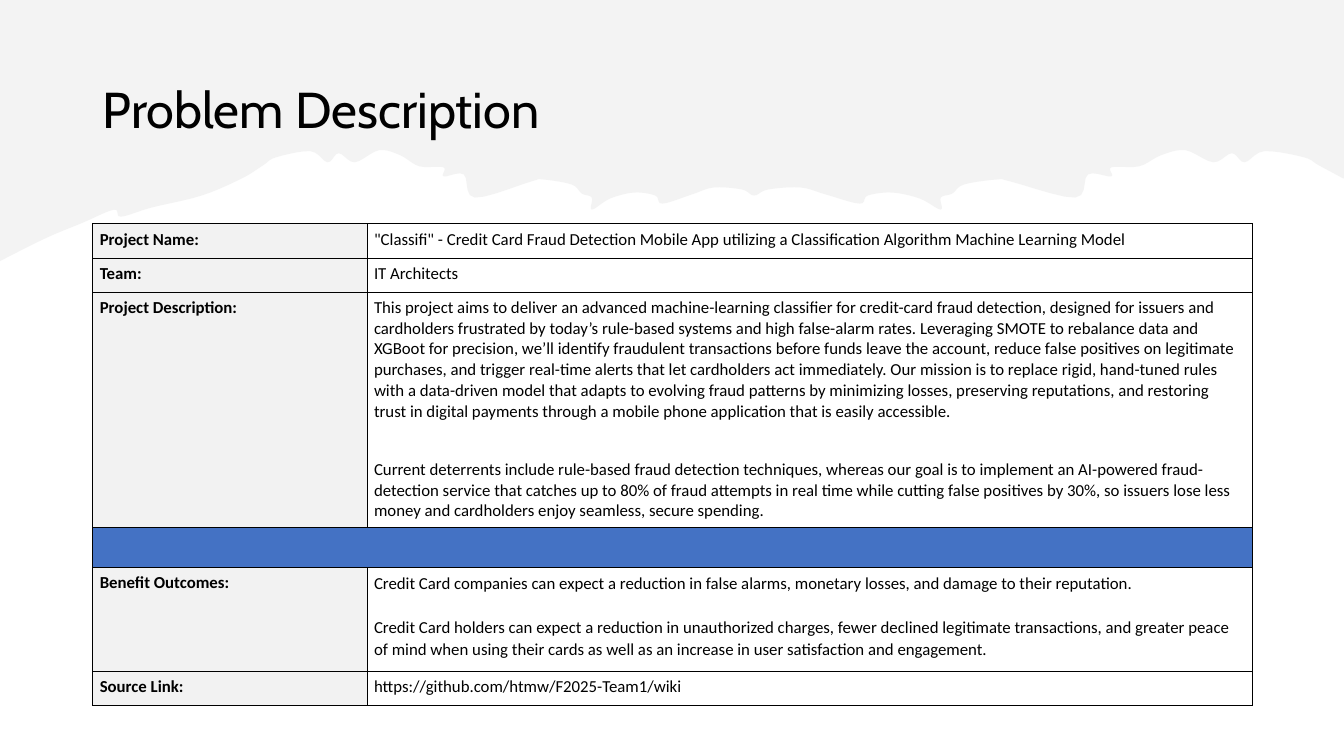
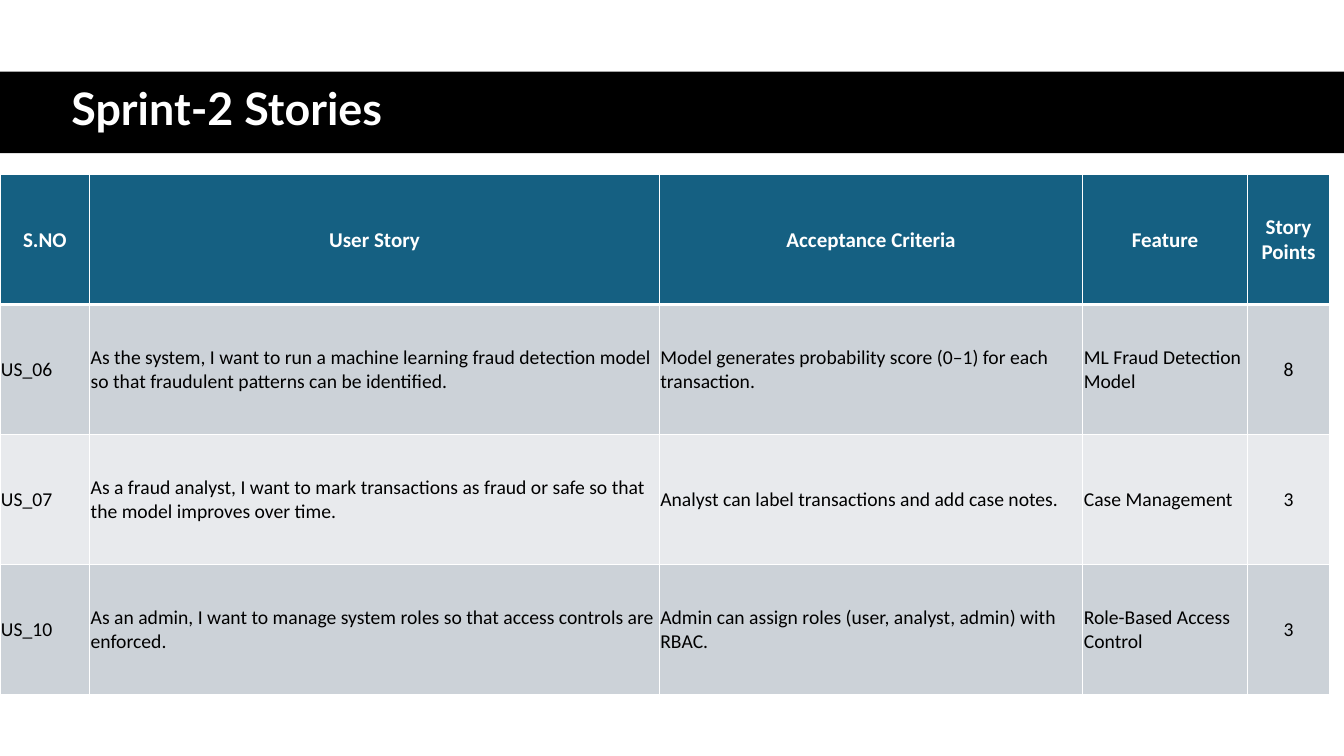
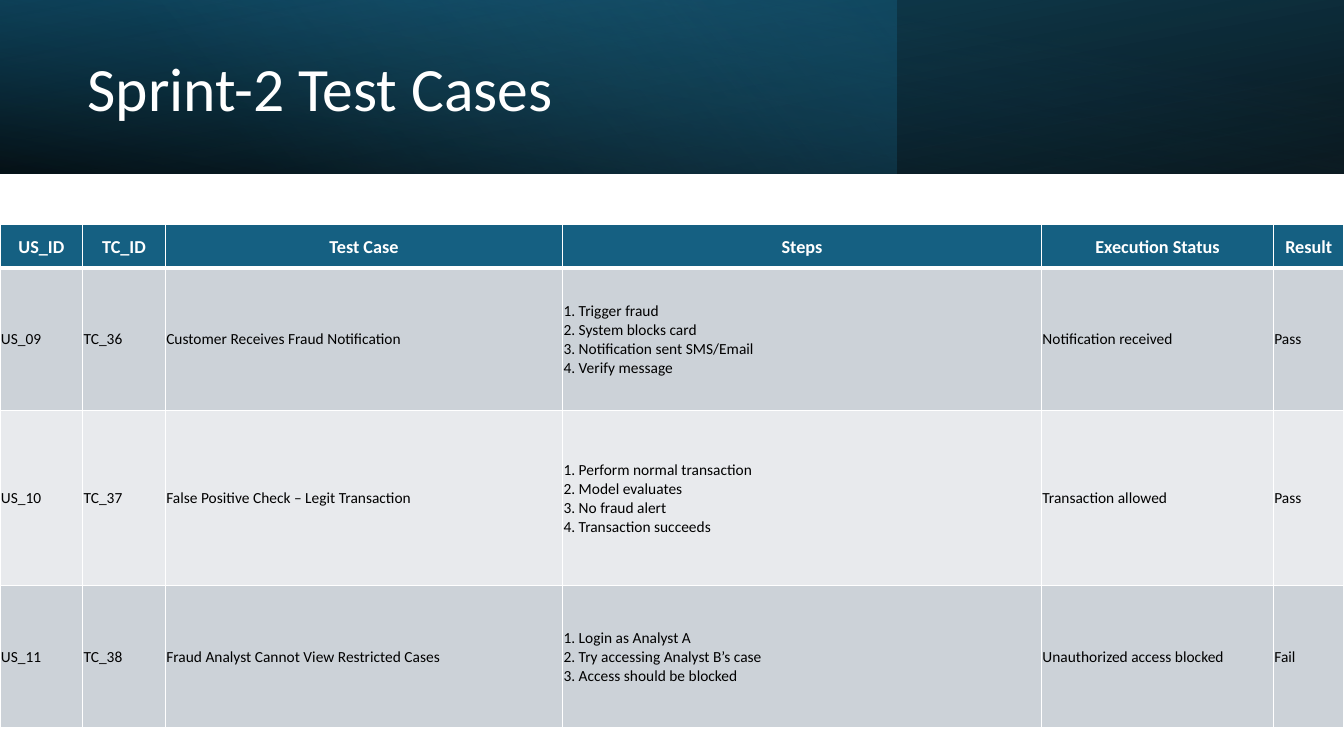
from dataclasses import dataclass
from typing import Optional

from lxml import etree
from pptx import Presentation
from pptx.dml.color import RGBColor
from pptx.enum.shapes import MSO_SHAPE
from pptx.enum.text import MSO_ANCHOR, PP_ALIGN
from pptx.oxml.ns import qn
from pptx.util import Inches, Pt

RECTANGLE = MSO_SHAPE.RECTANGLE
TOP, MIDDLE = MSO_ANCHOR.TOP, MSO_ANCHOR.MIDDLE
LEFT, CENTER = PP_ALIGN.LEFT, PP_ALIGN.CENTER

BLACK = RGBColor(0x00, 0x00, 0x00)
WHITE = RGBColor(0xFF, 0xFF, 0xFF)
TORN_GRAY = RGBColor(0xE8, 0xE8, 0xE8)
LABEL_GRAY = RGBColor(0xF2, 0xF2, 0xF2)
DIVIDER_BLUE = RGBColor(0x44, 0x72, 0xC4)
TEAL = RGBColor(0x15, 0x60, 0x82)
DEEP_TEAL = RGBColor(0x10, 0x48, 0x62)
SKY = RGBColor(0x46, 0xB1, 0xE1)
BAND_DARK = RGBColor(0xCC, 0xD2, 0xD8)
BAND_LIGHT = RGBColor(0xE8, 0xEA, 0xED)

BODY_FONT = "Calibri"
SLIDE_WIDTH, SLIDE_HEIGHT = 13.33, 7.5
BANNER_HEIGHT = 1.72

# Torn paper edge up to its middle; the right side is a stretched mirror image
TORN_MIDDLE, TORN_STRETCH, MIRROR_START = 7.48, 1.15, 2.4
TORN_LEFT = [
    (0, 2.59), (0.46, 2.36), (0.82, 2.21), (1.13, 2.08), (1.2, 2.15), (1.5, 2.06),
    (2, 1.94), (2.4, 1.77), (2.61, 1.64), (2.74, 1.56), (3.08, 1.5), (3.25, 1.61),
    (3.36, 1.52), (3.52, 1.61), (3.76, 1.49), (3.97, 1.54), (4.16, 1.65), (4.4, 1.66),
    (4.4, 1.75), (4.6, 1.73), (4.71, 1.96), (5.27, 1.8), (5.38, 1.78), (5.67, 1.83),
    (5.77, 1.92), (5.87, 1.96), (5.87, 2.08), (6.05, 1.97), (6.29, 1.91), (6.5, 1.94),
    (6.57, 2.02), (6.86, 1.93), (7.08, 1.86), (7.36, 1.88), (7.48, 1.94),
]


@dataclass
class GradientStop:
    position: float
    color: RGBColor
    opacity: int = 100


@dataclass
class BannerLayer:
    width: float
    stops: tuple[GradientStop, GradientStop]
    angle: int  # clockwise
    rotation: int = 0
    flipped: bool = False


@dataclass
class ProjectRow:
    height: float
    label: str
    paragraphs: list[str]
    line_pitch: float = 14.8
    gap: float = 26.8


@dataclass
class StoryTable:
    top: float
    columns: list[float]
    heights: list[float]
    rows: list[list[str]]
    header_size: int
    body_size: int
    centered_columns: tuple[int, ...] = ()


BANNER_LAYERS = [
    BannerLayer(SLIDE_WIDTH, (GradientStop(0, BLACK, 96), GradientStop(1, DEEP_TEAL)),
                100, rotation=180, flipped=True),
    BannerLayer(8.89, (GradientStop(0, TEAL, 41), GradientStop(0.74, SKY, 0)), 140),
    BannerLayer(SLIDE_WIDTH, (GradientStop(0, BLACK, 63), GradientStop(0.78, TEAL, 15)),
                260, flipped=True),
]

PROJECT_ROWS = [
    ProjectRow(0.34, "Project Name:", [
        '"Classifi" - Credit Card Fraud Detection Mobile App utilizing a '
        "Classification Algorithm Machine Learning Model"]),
    ProjectRow(0.34, "Team:", ["IT Architects"]),
    ProjectRow(2.33, "Project Description:", [
        "This project aims to deliver an advanced machine-learning classifier for "
        "credit-card fraud detection, designed for issuers and cardholders frustrated "
        "by today’s rule-based systems and high false-alarm rates. Leveraging SMOTE to "
        "rebalance data and XGBoot for precision, we’ll identify fraudulent "
        "transactions before funds leave the account, reduce false positives on "
        "legitimate purchases, and trigger real-time alerts that let cardholders act "
        "immediately. Our mission is to replace rigid, hand-tuned rules with a "
        "data-driven model that adapts to evolving fraud patterns by minimizing losses, "
        "preserving reputations, and restoring trust in digital payments through a "
        "mobile phone application that is easily accessible.",
        "Current deterrents include rule-based fraud detection techniques, whereas our "
        "goal is to implement an AI-powered fraud-detection service that catches up to "
        "80% of fraud attempts in real time while cutting false positives by 30%, so "
        "issuers lose less money and cardholders enjoy seamless, secure spending."]),
    ProjectRow(0.36, "", []),
    ProjectRow(1.03, "Benefit Outcomes:", [
        "Credit Card companies can expect a reduction in false alarms, monetary losses, "
        "and damage to their reputation.",
        "Credit Card holders can expect a reduction in unauthorized charges, fewer "
        "declined legitimate transactions, and greater peace of mind when using their "
        "cards as well as an increase in user satisfaction and engagement."],
        line_pitch=15.7, gap=15.7),
    ProjectRow(0.34, "Source Link:", ["https://github.com/htmw/F2025-Team1/wiki"]),
]

SPRINT_STORIES = StoryTable(
    top=1.73, columns=[0.89, 5.65, 4.2, 1.63, 0.82], heights=[1.29] * 4,
    header_size=15, body_size=14, centered_columns=(4,),
    rows=[
        ["S.NO", "User Story", "Acceptance Criteria", "Feature", "Story Points"],
        ["US_06", "As the system, I want to run a machine learning fraud detection "
         "model so that fraudulent patterns can be identified.",
         "Model generates probability score (0–1) for each transaction.",
         "ML Fraud Detection Model", "8"],
        ["US_07", "As a fraud analyst, I want to mark transactions as fraud or safe "
         "so that the model improves over time.",
         "Analyst can label transactions and add case notes.", "Case Management", "3"],
        ["US_10", "As an admin, I want to manage system roles so that access controls "
         "are enforced.", "Admin can assign roles (user, analyst, admin) with RBAC.",
         "Role-Based Access Control", "3"],
    ])

TEST_CASES = StoryTable(
    top=2.23, columns=[0.82, 0.82, 3.94, 4.75, 2.3, 0.7],
    heights=[0.43, 1.41, 1.74, 1.41], header_size=13, body_size=11,
    rows=[
        ["US_ID", "TC_ID", "Test Case", "Steps", "Execution Status", "Result"],
        ["US_09", "TC_36", "Customer Receives Fraud Notification",
         "1. Trigger fraud\n2. System blocks card\n3. Notification sent SMS/Email\n"
         "4. Verify message", "Notification received", "Pass"],
        ["US_10", "TC_37", "False Positive Check – Legit Transaction",
         "1. Perform normal transaction\n2. Model evaluates\n3. No fraud alert\n"
         "4. Transaction succeeds", "Transaction allowed", "Pass"],
        ["US_11", "TC_38", "Fraud Analyst Cannot View Restricted Cases",
         "1. Login as Analyst A\n2. Try accessing Analyst B’s case\n"
         "3. Access should be blocked", "Unauthorized access blocked", "Fail"],
    ])


# Shared helpers
def write_text(frame, text: str, *, size: float, font: str = BODY_FONT,
               color: RGBColor = BLACK, bold: bool = False, align=LEFT,
               line_spacing=None, gap: float = 0) -> None:
    for index, line in enumerate(text.split("\n")):
        paragraph = frame.add_paragraph() if index else frame.paragraphs[0]
        paragraph.alignment = align
        if line_spacing:
            paragraph.line_spacing = line_spacing
        if index and gap:
            paragraph.space_before = Pt(gap)
        if line:
            run = paragraph.add_run()
            run.text = line
            run.font.size, run.font.name, run.font.bold = Pt(size), font, bold
            run.font.color.rgb = color


def add_title(slide, text: str, left: float, top: float, width: float, height: float,
              **text_format) -> None:
    box = slide.shapes.add_textbox(Inches(left), Inches(top), Inches(width), Inches(height))
    box.text_frame.word_wrap = True
    box.text_frame.vertical_anchor = MIDDLE
    write_text(box.text_frame, text, line_spacing=0.9, **text_format)


def add_band(slide, top: float, width: float, height: float):
    band = slide.shapes.add_shape(RECTANGLE, 0, Inches(top), Inches(width), Inches(height))
    band.shadow.inherit = False
    band.line.fill.background()
    return band


def set_opacity(color_element, percent: int) -> None:
    etree.SubElement(color_element, qn("a:alpha")).set("val", str(percent * 1000))


def add_grid(slide, left: float, top: float, columns: list[float], heights: list[float]):
    frame = slide.shapes.add_table(len(heights), len(columns), Inches(left), Inches(top),
                                   Inches(sum(columns)), Inches(sum(heights)))
    table = frame.table
    table.first_row = table.horz_banding = False
    for column, width in zip(table.columns, columns):
        column.width = Inches(width)
    for row, height in zip(table.rows, heights):
        row.height = Inches(height)
    return table


def style_cell(cell, *, fill: Optional[RGBColor], border: RGBColor, width: float,
               margins: tuple[float, float, float, float], anchor=TOP,
               top_width: Optional[float] = None,
               bottom_width: Optional[float] = None) -> None:
    cell.margin_left, cell.margin_top, cell.margin_right, cell.margin_bottom = map(
        Inches, margins)
    cell.vertical_anchor = anchor
    properties = cell._tc.get_or_add_tcPr()
    sides = {"L": width, "R": width, "T": top_width or width, "B": bottom_width or width}
    for side, points in sides.items():
        line = etree.SubElement(properties, qn(f"a:ln{side}"), w=str(Pt(points)))
        solid = etree.SubElement(line, qn("a:solidFill"))
        etree.SubElement(solid, qn("a:srgbClr"), val=str(border))
    if fill is None:
        cell.fill.background()
    else:
        cell.fill.solid()
        cell.fill.fore_color.rgb = fill


def add_story_table(slide, data: StoryTable) -> None:
    table = add_grid(slide, 0, data.top, data.columns, data.heights)
    for row, texts in enumerate(data.rows):
        header = row == 0
        fill = TEAL if header else BAND_DARK if row % 2 else BAND_LIGHT
        for column, text in enumerate(texts):
            cell = table.cell(row, column)
            style_cell(cell, fill=fill, border=WHITE, width=1, anchor=MIDDLE,
                       margins=(0.01, 0.01, 0.01, 0),
                       top_width=3 if row == 1 else 1, bottom_width=3 if header else 1)
            centered = header or column in data.centered_columns
            write_text(cell.text_frame, text, bold=header,
                       size=data.header_size if header else data.body_size,
                       color=WHITE if header else BLACK,
                       align=CENTER if centered else LEFT)


# Slide parts
def smooth(points: list[tuple[float, float]], steps: int = 5) -> list[tuple[float, float]]:
    """Run a Catmull-Rom curve through the points."""
    padded = [points[0], *points, points[-1]]
    curve = [points[0]]
    for before, start, end, after in zip(padded, padded[1:], padded[2:], padded[3:]):
        for step in range(1, steps + 1):
            t = step / steps
            curve.append(tuple(
                b + t / 2 * (c - a + t * (2 * a - 5 * b + 4 * c - d
                                          + t * (3 * (b - c) + d - a)))
                for a, b, c, d in zip(before, start, end, after)))
    return curve


def add_torn_paper(slide) -> None:
    mirrored = [(TORN_MIDDLE + TORN_STRETCH * (TORN_MIDDLE - x), y)
                for x, y in reversed(TORN_LEFT[:-1]) if x >= MIRROR_START]
    outline = smooth(TORN_LEFT + mirrored)
    outline += [(SLIDE_WIDTH, outline[-1][1]), (SLIDE_WIDTH, 0), (0, 0)]
    start, *rest = [(Inches(min(x, SLIDE_WIDTH)), Inches(y)) for x, y in outline]
    builder = slide.shapes.build_freeform(*start)
    builder.add_line_segments(rest, close=True)
    paper = builder.convert_to_shape()
    paper.shadow.inherit = False
    paper.line.fill.background()
    paper.fill.solid()
    paper.fill.fore_color.rgb = TORN_GRAY
    set_opacity(paper._element.spPr.find(".//" + qn("a:srgbClr")), 50)


def add_banner_layer(slide, layer: BannerLayer) -> None:
    band = add_band(slide, 0, layer.width, BANNER_HEIGHT)
    band.rotation = layer.rotation
    if layer.flipped:
        band._element.spPr.find(qn("a:xfrm")).set("flipH", "1")
    band.fill.gradient()
    band.fill.gradient_angle = 360 - layer.angle
    for target, stop in zip(band.fill.gradient_stops, layer.stops):
        target.position = stop.position
        target.color.rgb = stop.color
    colors = band._element.spPr.iter(qn("a:srgbClr"))
    for color, stop in zip(list(colors), layer.stops):
        set_opacity(color, stop.opacity)


def add_project_table(slide) -> None:
    table = add_grid(slide, 0.92, 2.22, [2.72, 8.78], [row.height for row in PROJECT_ROWS])
    for index, row in enumerate(PROJECT_ROWS):
        divider = not row.label
        for column, text in enumerate((row.label, "\n".join(row.paragraphs))):
            cell = table.cell(index, column)
            fill = DIVIDER_BLUE if divider else None if column else LABEL_GRAY
            style_cell(cell, fill=fill, border=BLACK, width=0.75,
                       margins=(0.07, 0.05, 0.07, 0.05))
            write_text(cell.text_frame, text, size=12, bold=column == 0, gap=row.gap,
                       line_spacing=Pt(row.line_pitch if column else 14.8))
        if divider:
            table.cell(index, 0).merge(table.cell(index, 1))


# Slides
def build_problem_slide(slide) -> None:
    add_torn_paper(slide)
    add_title(slide, "Problem Description", 0.92, 0.6, 11.5, 1.02, size=36, font="Cabin")
    add_project_table(slide)


def build_stories_slide(slide) -> None:
    band = add_band(slide, 0.71, SLIDE_WIDTH, 0.81)
    band.fill.solid()
    band.fill.fore_color.rgb = BLACK
    add_title(slide, "Sprint-2 Stories", 0.61, 0.7, 12.26, 0.81, size=32, font="Lato",
              color=WHITE, bold=True)
    add_story_table(slide, SPRINT_STORIES)


def build_test_cases_slide(slide) -> None:
    for layer in BANNER_LAYERS:
        add_banner_layer(slide, layer)
    add_title(slide, "Sprint-2 Test Cases", 0.77, 0.27, 7.72, 1.27, size=44, color=WHITE)
    add_story_table(slide, TEST_CASES)


def main() -> None:
    deck = Presentation()
    deck.slide_width, deck.slide_height = Inches(SLIDE_WIDTH), Inches(SLIDE_HEIGHT)
    for build in (build_problem_slide, build_stories_slide, build_test_cases_slide):
        build(deck.slides.add_slide(deck.slide_layouts[6]))
    deck.save("out.pptx")


if __name__ == "__main__":
    main()
